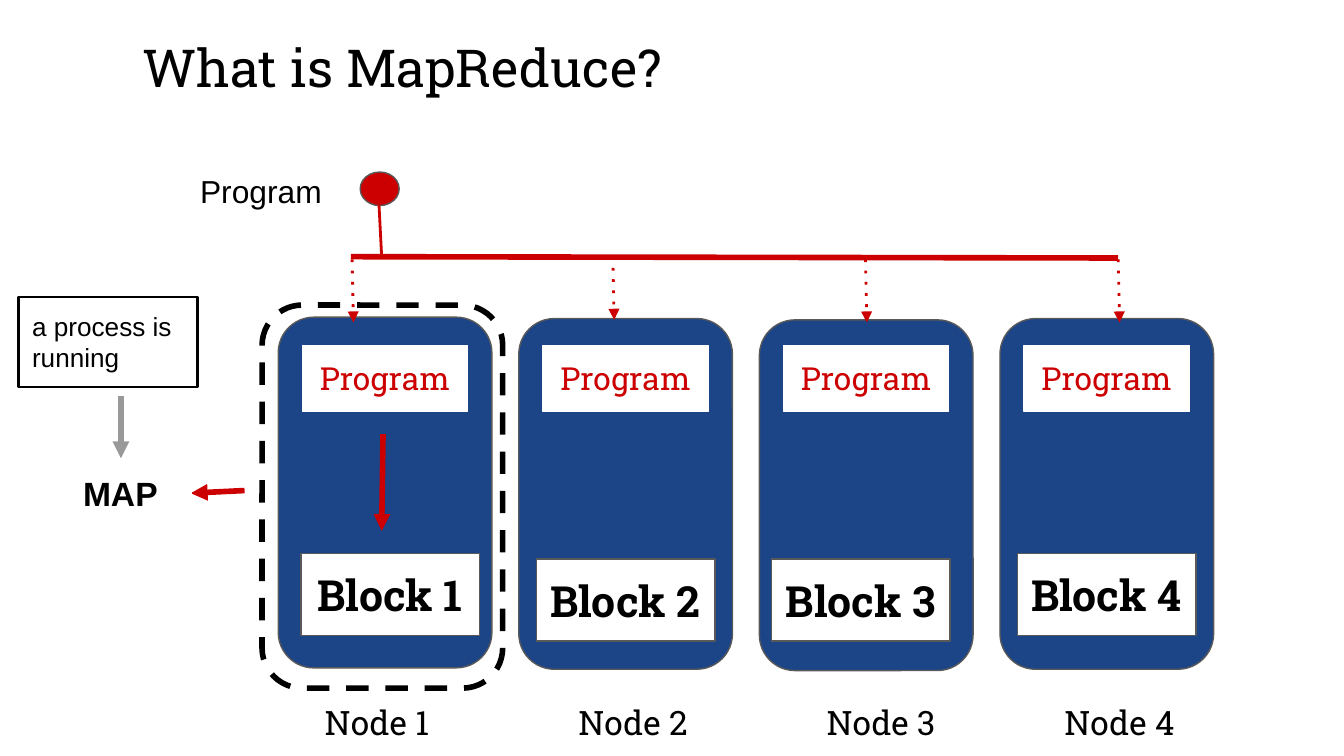
from lxml.etree import SubElement
from pptx import Presentation
from pptx.dml.color import RGBColor
from pptx.enum.dml import MSO_LINE
from pptx.enum.shapes import MSO_CONNECTOR, MSO_SHAPE
from pptx.enum.text import MSO_ANCHOR, PP_ALIGN
from pptx.oxml.ns import qn
from pptx.util import Inches, Pt

BLACK = RGBColor(0x00, 0x00, 0x00)
WHITE = RGBColor(0xFF, 0xFF, 0xFF)
RED = RGBColor(0xCC, 0x00, 0x00)
BLUE = RGBColor(0x1C, 0x45, 0x87)
DARK_GREY = RGBColor(0x59, 0x59, 0x59)
GREY = RGBColor(0x99, 0x99, 0x99)
SLAB = "Roboto Slab"
SANS = "Arial"

NODE_LEFT, NODE_PITCH = 2.07, 1.79
NODE_WIDTH, NODE_HEIGHT = 1.59, 2.61
# Top of the node, block position inside it, label left and width
NODES = [
    (2.36, 0.17, 1.76, 2.29, 1.03),
    (2.37, 0.13, 1.79, 4.07, 1.28),
    (2.38, 0.09, 1.78, 5.89, 1.33),
    (2.37, 0.13, 1.75, 7.63, 1.40),
]
# Start of each dotted arrow, measured from the left end of the bus
DROPS = [(0.01, 0.02), (1.95, 0), (3.83, 0.02), (5.71, 0.02)]


def write(shape, text, font, size, color, bold=False, align=PP_ALIGN.LEFT,
          anchor=MSO_ANCHOR.TOP):
    frame = shape.text_frame
    frame.word_wrap = True
    frame.vertical_anchor = anchor
    frame.margin_left = frame.margin_right = Inches(0.1)
    frame.margin_top = frame.margin_bottom = Inches(0.1)
    paragraph = frame.paragraphs[0]
    paragraph.alignment = align
    run = paragraph.add_run()
    run.text = text
    run.font.name = font
    run.font.size = Pt(size)
    run.font.bold = bold
    run.font.color.rgb = color


def add_label(slide, left, top, width, height, text, font, size, **style):
    box = slide.shapes.add_textbox(
        Inches(left), Inches(top), Inches(width), Inches(height))
    write(box, text, font, size, BLACK, **style)


def add_box(slide, kind, left, top, width, height, fill, outline, weight=0.75):
    shape = slide.shapes.add_shape(
        kind, Inches(left), Inches(top), Inches(width), Inches(height))
    shape.shadow.inherit = False
    if fill is None:
        shape.fill.background()
    else:
        shape.fill.solid()
        shape.fill.fore_color.rgb = fill
    shape.line.color.rgb = outline
    shape.line.width = Pt(weight)
    return shape


def add_line(slide, x1, y1, x2, y2, color, weight, dotted=False, arrow=False):
    connector = slide.shapes.add_connector(
        MSO_CONNECTOR.STRAIGHT, Inches(x1), Inches(y1), Inches(x2), Inches(y2))
    connector.line.color.rgb = color
    connector.line.width = Pt(weight)
    outline = connector.line._get_or_add_ln()
    if dotted:
        SubElement(outline, qn("a:prstDash"), val="dot")
    if arrow:
        SubElement(outline, qn("a:tailEnd"), type="triangle")
    SubElement(connector._element.spPr, qn("a:effectLst"))


def add_node(slide, number, left, top, block_x, block_y):
    """Node body with its program and its data block."""
    add_box(slide, MSO_SHAPE.ROUNDED_RECTANGLE, left, top,
            NODE_WIDTH, NODE_HEIGHT, BLUE, DARK_GREY)
    program = add_box(slide, MSO_SHAPE.RECTANGLE, left + 0.18, 2.57,
                      1.23, 0.49, WHITE, WHITE)
    write(program, "Program", SLAB, 17, RED, align=PP_ALIGN.CENTER)
    block = add_box(slide, MSO_SHAPE.RECTANGLE, left + block_x, top + block_y,
                    1.33, 0.61, WHITE, DARK_GREY)
    write(block, f"Block {number}", SLAB, 23, BLACK, bold=True,
          align=PP_ALIGN.CENTER, anchor=MSO_ANCHOR.MIDDLE)


def add_distribution(slide, left, top):
    """Program source, the bus below it and the dotted arrows to the nodes."""
    add_label(slide, left - 1.22, top - 0.73, 1.28, 0.49, "Program", SANS, 17)
    add_box(slide, MSO_SHAPE.OVAL, left + 0.07, top - 0.63, 0.29, 0.25,
            RED, DARK_GREY)
    add_line(slide, left, top, left + 5.71, top + 0.01, RED, 3)
    for x, y in DROPS:
        add_line(slide, left + x, top + y, left + x + 0.01, top + y + 0.47,
                 RED, 1.5, dotted=True, arrow=True)
    add_line(slide, left + 0.21, top - 0.39, left + 0.23, top, RED, 1.5)


def add_map_highlight(slide, left, top):
    """Dashed frame around the first node and the arrows of the map step."""
    frame = add_box(slide, MSO_SHAPE.ROUNDED_RECTANGLE, left, top,
                    1.79, 2.85, None, BLACK, 3)
    frame.line.dash_style = MSO_LINE.DASH
    add_line(slide, left + 0.9, top + 0.96, left + 0.89, top + 1.68,
             RED, 3, arrow=True)
    add_line(slide, left - 0.13, top + 1.38, left - 0.53, top + 1.4,
             RED, 3, arrow=True)


def add_map_note(slide, left, top):
    """Note that explains the map step."""
    note = add_box(slide, MSO_SHAPE.RECTANGLE, left, top, 1.33, 0.67,
                   None, BLACK, 1.5)
    write(note, "a process is running", SANS, 14, BLACK)
    step = add_box(slide, MSO_SHAPE.RECTANGLE, left + 0.38, top + 1.21,
                   0.9, 0.5, None, WHITE, 1.5)
    write(step, "MAP", SANS, 18, BLACK, bold=True)
    add_line(slide, left + 0.76, top + 0.74, left + 0.76, top + 1.2,
             GREY, 3, arrow=True)


def main():
    # Widescreen page, 16 by 9
    presentation = Presentation()
    presentation.slide_width = Inches(10)
    presentation.slide_height = Inches(10) * 9 // 16
    slide = presentation.slides.add_slide(presentation.slide_layouts[6])

    # Title
    add_label(slide, 0.96, 0.16, 4.62, 0.67, "What is MapReduce?", SLAB, 28)

    # Nodes and their names
    for index, (top, block_x, block_y, label_left, label_width) in enumerate(NODES):
        number = index + 1
        add_node(slide, number, NODE_LEFT + index * NODE_PITCH, top,
                 block_x, block_y)
        add_label(slide, label_left, 5.12, label_width, 0.5, f"Node {number}",
                  SLAB, 18, align=PP_ALIGN.CENTER)

    # Program flow and map step
    add_distribution(slide, 2.61, 1.91)
    add_map_highlight(slide, 1.95, 2.27)
    add_map_note(slide, 0.14, 2.21)

    presentation.save("out.pptx")


if __name__ == "__main__":
    main()
